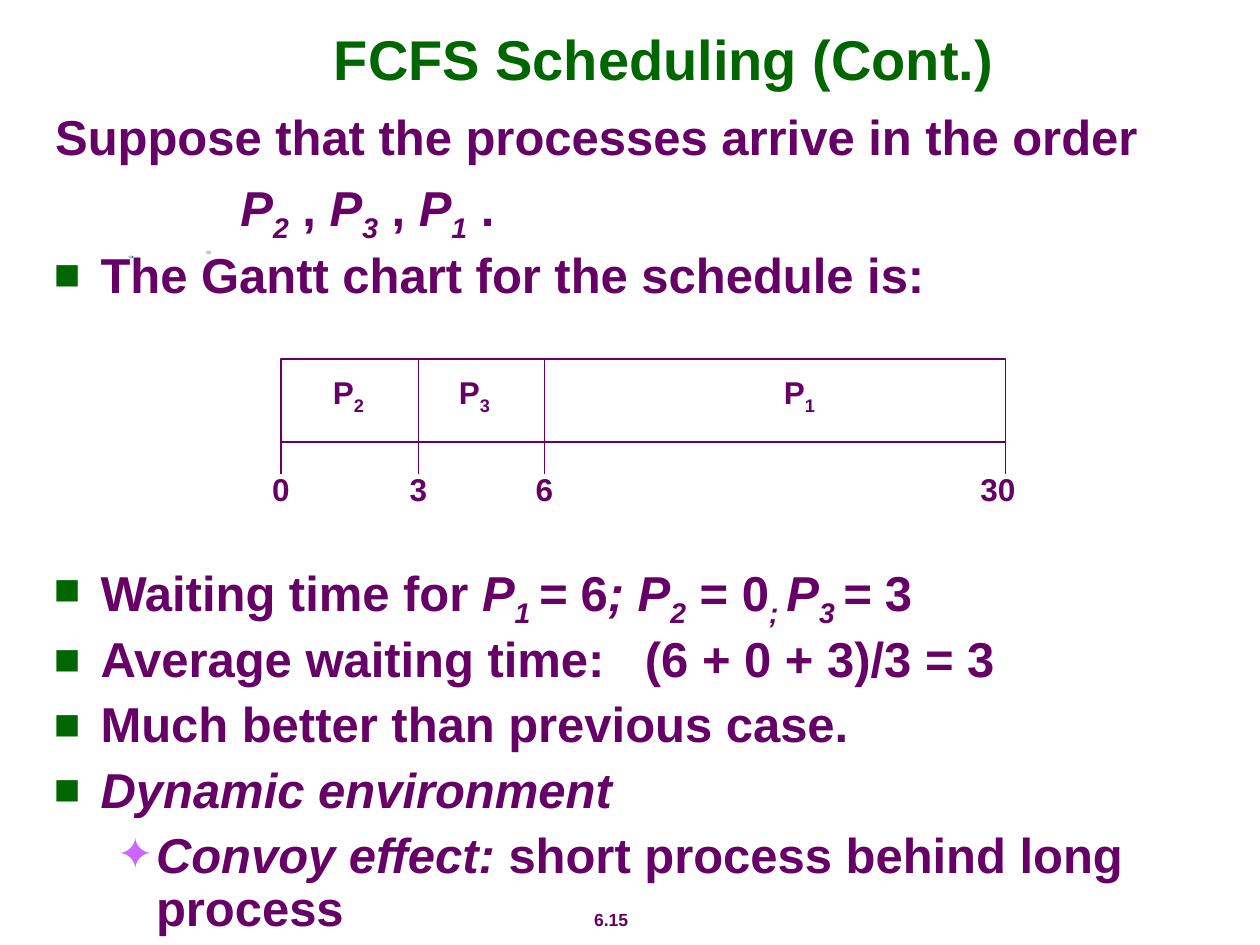
"""Build the FCFS scheduling slide with its Gantt chart."""
from lxml.etree import SubElement
from pptx import Presentation
from pptx.dml.color import RGBColor
from pptx.enum.shapes import MSO_CONNECTOR, MSO_SHAPE
from pptx.enum.text import MSO_ANCHOR, PP_ALIGN
from pptx.oxml.ns import qn
from pptx.util import Inches, Pt

COLORS = {"text": "660066", "title": "006600", "star": "CC66FF",
          "white": "FFFFFF", "navy": "284C70", "mist": "BFCCD8"}
BULLETS = {"square": ("■", "title", 0.37, -0.37), "star": ("✦", "star", 0.81, -0.31)}
BODY = [
    {"runs": [("Suppose that the processes arrive in the order", "")],
     "left": 0.38, "first": -0.37},
    {"runs": [("P", "i"), ("2", "is"), (" , ", ""), ("P", "i"), ("3", "is"),
              (" , ", ""), ("P", "i"), ("1", "is"), (" .", "")], "left": 1.48},
    {"runs": [("The Gantt chart for the schedule is:", "")], "mark": "square"},
    {"runs": [("Waiting time for ", ""), ("P", "i"), ("1 ", "is"), ("=", "i"),
              (" 6", ""), ("; P", "i"), ("2", "is"), (" = 0", ""), ("; ", "is"),
              ("P", "i"), ("3 ", "is"), ("= ", "i"), ("3", "")],
     "mark": "square", "before": 148},
    {"runs": [("Average waiting time:\t(6 + 0 + 3)/3 = 3", "")],
     "mark": "square", "tab": 4.69},
    {"runs": [("Much better than previous case.", "")], "mark": "square"},
    {"runs": [("Dynamic environment", "i")], "mark": "square"},
    {"runs": [("Convoy effect:", "i"), (" short process behind long process", "")],
     "mark": "star", "level": 1},
]
BAR = {"left": 2.23, "top": 2.85, "right": 7.98, "base": 3.51, "foot": 3.76}
JOBS = [("2", 2.76), ("3", 3.76), ("1", 6.34)]
TIMES = [("0", 2.23, 2.23), ("3", 3.32, 3.32), ("6", 4.32, 4.32), ("30", 7.98, 7.92)]
SPECKS = [("navy", 1.02, 2.03, 0.04, 0.02), ("mist", 1.02, 2.03, 0.03, 0.02),
          ("mist", 1.63, 1.99, 0.05, 0.03)]
OUTLINE = [(0, 0.4), (0.3, 0), (0.7, 0), (1, 0.4), (0.8, 0.9), (0.4, 1)]


def rgb(name):
    return RGBColor.from_string(COLORS[name])


def add_runs(para, runs, size, color="text"):
    for text, style in runs:
        run = para.add_run()
        run.text = text
        look = {"name": "Arial", "size": Pt(size), "bold": True, "italic": "i" in style}
        for key, value in look.items():
            setattr(run.font, key, value)
        run.font.color.rgb = rgb(color)
        if "s" in style:
            run.font._element.set("baseline", "-25000")


def add_box(slide, left, top, width, height, wrap=True, anchor=MSO_ANCHOR.MIDDLE):
    box = slide.shapes.add_textbox(*map(Inches, (left, top, width, height)))
    frame = box.text_frame
    frame.word_wrap = wrap
    frame.vertical_anchor = anchor
    return frame


def add_label(slide, runs, box, size, color="text", wrap=False):
    para = add_box(slide, *box, wrap=wrap).paragraphs[0]
    para.alignment = PP_ALIGN.CENTER
    add_runs(para, runs, size, color)


def add_body(slide):
    frame = add_box(slide, 0.33, 0.85, 9.22, 6.46, anchor=MSO_ANCHOR.TOP)
    for num, item in enumerate(BODY):
        para = frame.add_paragraph() if num else frame.paragraphs[0]
        para.level = item.get("level", 0)
        para.line_spacing = 0.9
        para.space_before = Pt(item.get("before", 7))
        left, first = item.get("left", 0), item.get("first", 0)
        props = para._p.get_or_add_pPr()
        if "mark" in item:
            char, color, left, first = BULLETS[item["mark"]]
            tint = SubElement(props, qn("a:buClr"))
            SubElement(tint, qn("a:srgbClr"), val=COLORS[color])
            SubElement(props, qn("a:buSzPct"), val="90000")
            SubElement(props, qn("a:buFont"), typeface="Arial")
            SubElement(props, qn("a:buChar"), char=char)
        props.set("marL", str(Inches(left)))
        props.set("indent", str(Inches(first)))
        if "tab" in item:
            tabs = SubElement(props, qn("a:tabLst"))
            SubElement(tabs, qn("a:tab"), pos=str(Inches(item["tab"])), algn="l")
        add_runs(para, item["runs"], 28)


def add_line(slide, x, top, end):
    line = slide.shapes.add_connector(
        MSO_CONNECTOR.STRAIGHT, *map(Inches, (x, top, x, end)))
    line.line.color.rgb = rgb("text")
    line.line.width = Pt(0.75)
    SubElement(line._element.spPr, qn("a:effectLst"))


def add_gantt(slide):
    left, top, right, base, foot = BAR.values()
    bar = slide.shapes.add_shape(
        MSO_SHAPE.RECTANGLE, *map(Inches, (left, top, right - left, base - top)))
    bar.shadow.inherit = False
    bar.fill.solid()
    bar.fill.fore_color.rgb = rgb("white")
    bar.line.color.rgb = rgb("text")
    bar.line.width = Pt(0.75)
    for num, mid in JOBS:
        add_label(slide, [("P", ""), (num, "s")], (mid - 0.22, 2.91, 0.45, 0.44), 18)
    for text, x, mid in TIMES:
        if left < x < right:
            add_line(slide, x, top, base)
        add_line(slide, x, base, foot)
        width = 0.2 + 0.14 * len(text)
        add_label(slide, [(text, "")], (mid - width / 2, 3.68, width, 0.4), 18)


def add_speck(slide, color, left, top, width, height):
    points = [(Inches(left + x * width), Inches(top + y * height)) for x, y in OUTLINE]
    pen = slide.shapes.build_freeform(*points[0])
    pen.add_line_segments(points[1:])
    speck = pen.convert_to_shape()
    speck.shadow.inherit = False
    speck.fill.solid()
    speck.fill.fore_color.rgb = rgb(color)
    speck.line.fill.background()


def main():
    deck = Presentation()
    deck.slide_width, deck.slide_height = Inches(10), Inches(7.5)
    slide = deck.slides.add_slide(deck.slide_layouts[6])
    add_label(slide, [("6.15", "")], (4.36, 7.16, 0.98, 0.27), 10)
    for speck in SPECKS:
        add_speck(slide, *speck)
    add_label(slide, [("FCFS Scheduling (Cont.)", "")], (1.28, 0, 7.98, 0.92),
              32, "title", True)
    add_body(slide)
    add_gantt(slide)
    deck.save("out.pptx")


if __name__ == "__main__":
    main()
